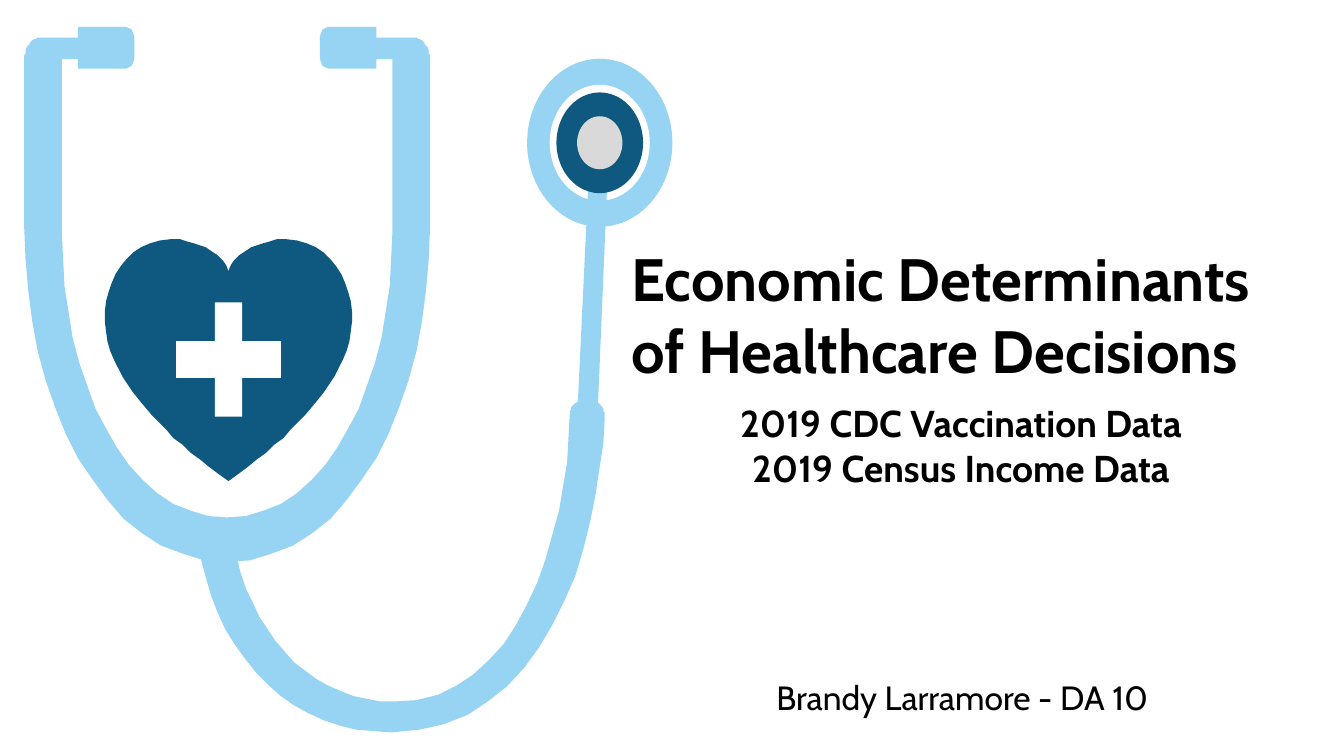
"""Build a title slide with a stethoscope, a heart and three text blocks."""
from pptx import Presentation
from pptx.dml.color import RGBColor
from pptx.enum.shapes import MSO_SHAPE
from pptx.enum.text import PP_ALIGN
from pptx.util import Pt

NAVY, SKY, GREY, WHITE, BLACK = "0F5980", "97D4F3", "D9D9D9", "FFFFFF", "000000"
CURVE_STEPS = 16


def paint(shape, color):
    shape.shadow.inherit = False
    shape.fill.solid()
    shape.fill.fore_color.rgb = RGBColor.from_string(color)
    shape.line.fill.background()


def draw_outline(shapes, start, segments, color, axis=None):
    """Join line ends and Bézier curves, mirrored about a vertical axis if one is given."""
    points = [start]
    for *controls, end in segments:
        if controls:
            curve = [points[-1], *controls, end]
            for step in range(1, CURVE_STEPS + 1):
                t = step / CURVE_STEPS
                weights = (1 - t) ** 3, 3 * t * (1 - t) ** 2, 3 * t * t * (1 - t), t ** 3
                points.append(tuple(
                    sum(w * value for w, value in zip(weights, values))
                    for values in zip(*curve)))
        else:
            points.append(end)
    if axis is not None:
        points += [(2 * axis - x, y) for x, y in reversed(points)]
    builder = shapes.build_freeform(*points[0], scale=Pt(0.72))
    builder.add_line_segments(points[1:], close=True)
    paint(builder.convert_to_shape(), color)


presentation = Presentation()
presentation.slide_width, presentation.slide_height = Pt(720), Pt(405)
slide = presentation.slides.add_slide(presentation.slide_layouts[6])

draw_outline(slide.shapes, (170, 358), [
    [(130, 330), (100, 300), (85, 268)],
    [(68, 232), (83, 181), (127, 178)],
    [(144, 178), (166, 187), (170, 202)],
], NAVY, axis=170)
cross = slide.shapes.add_shape(MSO_SHAPE.CROSS, Pt(94.3), Pt(162), Pt(56.2), Pt(61.2))
cross.adjustments[0] = 0.37
paint(cross, WHITE)

stethoscope = slide.shapes.add_group_shape()
draw_outline(stethoscope.shapes, (169, 418), [
    [(75, 418), (18, 295), (18, 169)],
    [(18, 44)],
    [(18, 36), (23, 28), (31, 28)],
    *[[point] for point in [
        (58, 28), (58, 20), (94, 20), (98, 22), (100, 27), (100, 44), (98, 49),
        (94, 51), (58, 51), (58, 44), (46, 44), (46, 173)]],
    [(46, 280), (92, 385), (169, 385)],
], SKY, axis=169)

discs = [(77.8, 90, SKY), (53.6, 62.1, WHITE), (46.4, 54, NAVY), (24.3, 28.4, GREY)]
for width, height, color in discs:
    if color == NAVY:
        draw_outline(stethoscope.shapes, (149, 414), [
            [(166, 495), (220, 545), (291, 545)],
            [(405, 545), (445, 410), (450, 311)],
            [(450, 306), (449, 302), (445, 300)],
            [(452, 133)], [(438, 132)], [(430, 299)],
            [(427, 300), (424, 304), (424, 308)],
            [(422, 400), (385, 522), (294, 522)],
            [(235, 522), (192, 480), (176, 414)],
        ], SKY)
    disc = stethoscope.shapes.add_shape(
        MSO_SHAPE.OVAL, Pt(321.3 - width / 2), Pt(76.5 - height / 2), Pt(width), Pt(height))
    paint(disc, color)

for left, top, width, height, size, bold, align, lines in [
    (331.2, 122.4, 384.5, 92.9, 32, True, PP_ALIGN.LEFT,
     ["Economic Determinants", "of Healthcare Decisions"]),
    (341.3, 207.4, 347, 79.2, 20, True, PP_ALIGN.CENTER,
     ["2019 CDC Vaccination Data", "2019 Census Income Data"]),
    (345.6, 355.7, 339.8, 35.3, 18, False, PP_ALIGN.CENTER, ["Brandy Larramore - DA 10"]),
]:
    text_frame = slide.shapes.add_textbox(
        Pt(left), Pt(top), Pt(width), Pt(height)).text_frame
    text_frame.word_wrap = True
    text_frame.margin_left = text_frame.margin_right = Pt(7.2)
    text_frame.margin_top = text_frame.margin_bottom = Pt(7.2)
    text_frame.text = "\n".join(lines)
    for paragraph in text_frame.paragraphs:
        paragraph.alignment = align
        paragraph.font.name = "Cabin"
        paragraph.font.size = Pt(size)
        paragraph.font.bold = bold
        paragraph.font.color.rgb = RGBColor.from_string(BLACK)

presentation.save("out.pptx")
